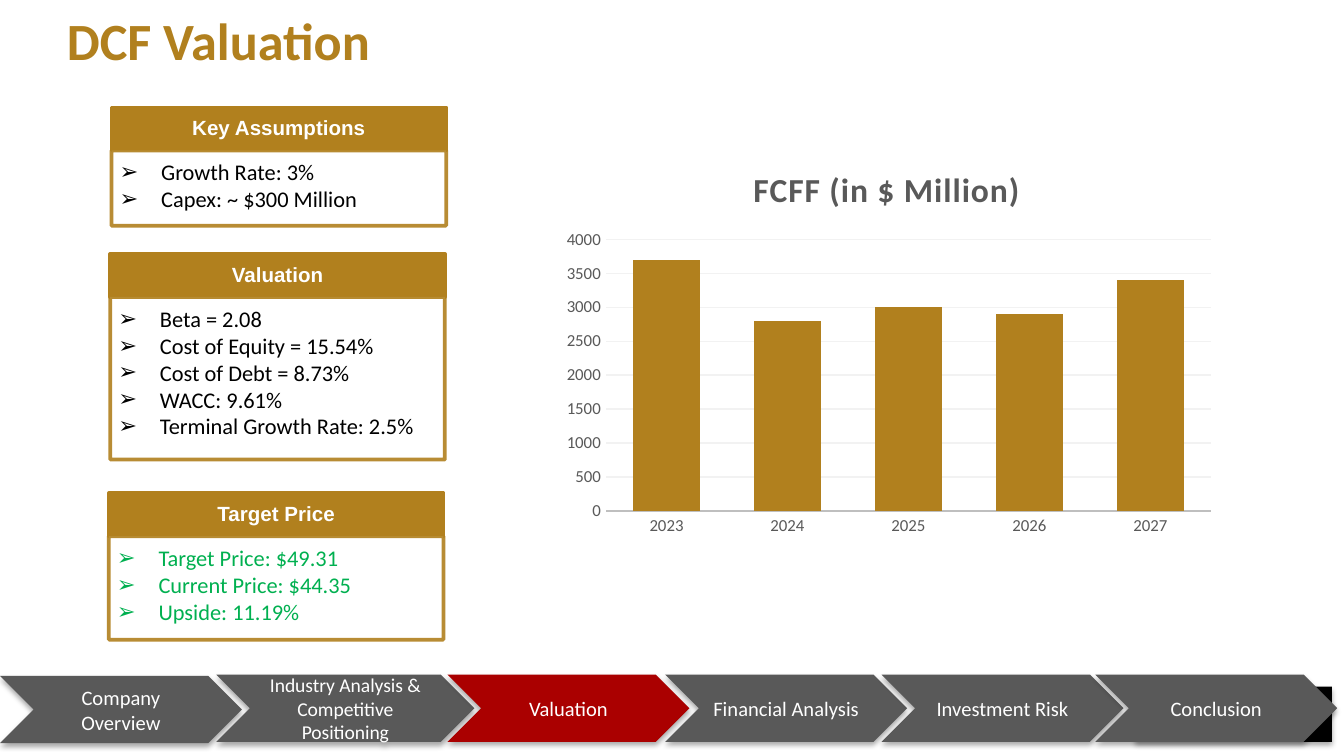
from dataclasses import dataclass

from lxml import etree
from pptx import Presentation
from pptx import util as u
from pptx.chart.data import CategoryChartData
from pptx.dml.color import RGBColor
from pptx.enum import chart as charts
from pptx.enum import shapes, text
from pptx.oxml import ns

GOLD = RGBColor(0xB1, 0x80, 0x1E)
GREY = RGBColor(0x59, 0x59, 0x59)
RED = RGBColor(0xAA, 0x00, 0x00)
GREEN = RGBColor(0x00, 0xB0, 0x50)
BLACK = RGBColor(0, 0, 0)
WHITE = RGBColor(0xFF, 0xFF, 0xFF)
AXIS = RGBColor(0xBF, 0xBF, 0xBF)
GRID = RGBColor(0xF2, 0xF2, 0xF2)

PAGE_WIDTH = 10
PAGE_HEIGHT = PAGE_WIDTH * 9 / 16
CARD_WIDTH = 2.49
HEADER_HEIGHT = 0.32
STEP_HEIGHT = 0.5


@dataclass(frozen=True)
class Step:
    label: str
    left: float
    top: float = 5.02
    width: float = 1.8
    size: float = 11
    color: RGBColor = GREY


@dataclass(frozen=True)
class Card:
    heading: str
    items: tuple[str, ...]
    left: float
    top: float
    body_height: float
    color: RGBColor = BLACK


STEPS = (
    Step("Company Overview", 0, top=5.03),
    Step("Industry Analysis & Competitive Positioning", 1.61, width=1.92, size=10.5),
    Step("Valuation", 3.33, color=RED),
    Step("Financial Analysis", 4.95),
    Step("Investment Risk", 6.56),
    Step("Conclusion", 8.15),
)
CARDS = (
    Card("Key Assumptions", ("Growth Rate: 3%", "Capex: ~ $300 Million"), 0.83, 0.8, 0.56),
    Card(
        "Valuation",
        ("Beta = 2.08", "Cost of Equity = 15.54%", "Cost of Debt = 8.73%",
         "WACC: 9.61%", "Terminal Growth Rate: 2.5%"),
        0.82, 1.89, 1.21,
    ),
    Card(
        "Target Price",
        ("Target Price: $49.31", "Current Price: $44.35", "Upside: 11.19%"),
        0.81, 3.67, 0.77, GREEN,
    ),
)
CASH_FLOWS = {"2023": 3700, "2024": 2800, "2025": 3000, "2026": 2900, "2027": 3400}


def set_font(font, size: float, color: RGBColor, name: str = "Calibri", bold: bool = False) -> None:
    font.size, font.name, font.bold = u.Pt(size), name, bold
    font.color.rgb = color


def set_insets(frame, left: float, top: float, right: float, bottom: float) -> None:
    frame.margin_left, frame.margin_top = u.Inches(left), u.Inches(top)
    frame.margin_right, frame.margin_bottom = u.Inches(right), u.Inches(bottom)


def add_box(page, kind, left: float, top: float, width: float, height: float, fill: RGBColor):
    box = page.shapes.add_shape(
        kind, u.Inches(left), u.Inches(top), u.Inches(width), u.Inches(height))
    box.shadow.inherit = False
    box.fill.solid()
    box.fill.fore_color.rgb = fill
    box.line.fill.background()
    return box


def outline(box) -> None:
    box.line.color.rgb = GOLD
    box.line.width = u.Pt(2)


def add_shadow(box) -> None:
    effects = box._element.spPr.find(ns.qn("a:effectLst"))
    shadow = etree.SubElement(
        effects, ns.qn("a:outerShdw"), blurRad=str(u.Pt(3.1)), dist=str(u.Pt(1.8)),
        dir="5400000", algn="t", rotWithShape="0")
    color = etree.SubElement(shadow, ns.qn("a:srgbClr"), val=str(BLACK))
    etree.SubElement(color, ns.qn("a:alpha"), val="35000")


def add_step(page, step: Step) -> None:
    box = add_box(page, shapes.MSO_SHAPE.CHEVRON, step.left, step.top,
                  step.width, STEP_HEIGHT, step.color)
    add_shadow(box)
    box.text_frame.vertical_anchor = text.MSO_ANCHOR.MIDDLE
    para = box.text_frame.paragraphs[0]
    para.text = step.label
    para.alignment = text.PP_ALIGN.CENTER
    set_font(para.font, step.size, WHITE)


def add_bullet(para) -> None:
    properties = para._p.get_or_add_pPr()
    properties.set("marL", str(u.Inches(0.31)))
    properties.set("indent", str(-u.Inches(0.31)))
    etree.SubElement(properties, ns.qn("a:buFont"), typeface="Arial")
    etree.SubElement(properties, ns.qn("a:buChar"), char="➢")


def add_card(page, card: Card) -> None:
    header = add_box(page, shapes.MSO_SHAPE.RECTANGLE, card.left, card.top,
                     CARD_WIDTH, HEADER_HEIGHT, GOLD)
    outline(header)
    set_insets(header.text_frame, 0.09, 0.05, 0.09, 0.05)
    header.text_frame.vertical_anchor = text.MSO_ANCHOR.MIDDLE
    para = header.text_frame.paragraphs[0]
    para.text = card.heading
    para.alignment = text.PP_ALIGN.CENTER
    para.line_spacing = 0.9
    set_font(para.font, 11, WHITE, "Arial", True)

    body = add_box(page, shapes.MSO_SHAPE.RECTANGLE, card.left, card.top + HEADER_HEIGHT,
                   CARD_WIDTH, card.body_height, WHITE)
    outline(body)
    for color in body._element.spPr.iter(ns.qn("a:srgbClr")):
        etree.SubElement(color, ns.qn("a:alpha"), val="90000")
    frame = body.text_frame
    set_insets(frame, 0.06, 0.06, 0.09, 0.1)
    frame.vertical_anchor = text.MSO_ANCHOR.TOP
    for index, item in enumerate(card.items):
        para = frame.add_paragraph() if index else frame.paragraphs[0]
        para.text = item
        para.alignment = text.PP_ALIGN.LEFT
        add_bullet(para)
        set_font(para.font, 12, card.color)


def place(parent, index: int, **settings: object) -> None:
    for old in parent.findall(ns.qn("c:layout")):
        parent.remove(old)
    layout = etree.Element(ns.qn("c:layout"))
    manual = etree.SubElement(layout, ns.qn("c:manualLayout"))
    for name, value in settings.items():
        etree.SubElement(manual, ns.qn(f"c:{name}"), val=str(value))
    parent.insert(index, layout)


def add_cash_flow_chart(page) -> None:
    data = CategoryChartData()
    data.categories = list(CASH_FLOWS)
    data.add_series("Series 1", list(CASH_FLOWS.values()))
    chart = page.shapes.add_chart(
        charts.XL_CHART_TYPE.COLUMN_CLUSTERED, u.Inches(4.11), u.Inches(1.07),
        u.Inches(5), u.Inches(2.97), data).chart
    set_font(chart.font, 10, BLACK)
    chart.has_legend = False
    chart.has_title = True
    para = chart.chart_title.text_frame.paragraphs[0]
    span = para.add_run()
    span.text = "FCFF (in $ Million)"
    set_font(span.font, 18, GREY, bold=True)
    span.font._element.set("spc", "50")
    place(chart.chart_title._element, 1, xMode="edge", yMode="edge", x=0.29, y=0.04)
    place(chart._chartSpace.chart.plotArea, 0, layoutTarget="inner", xMode="edge",
          yMode="edge", x=0.08, y=0.24, w=0.9, h=0.68)

    plot = chart.plots[0]
    plot.gap_width, plot.overlap, plot.vary_by_categories = 80, 25, False
    fill = plot.series[0].format.fill
    fill.solid()
    fill.fore_color.rgb = GOLD
    for axis in (chart.category_axis, chart.value_axis):
        axis.major_tick_mark = axis.minor_tick_mark = charts.XL_TICK_MARK.NONE
        set_font(axis.tick_labels.font, 9, GREY)
    chart.category_axis.format.line.color.rgb = AXIS
    chart.category_axis.format.line.width = u.Pt(1.25)
    values = chart.value_axis
    values.minimum_scale, values.maximum_scale, values.major_unit = 0, 4000, 500
    values.format.line.fill.background()
    values.major_gridlines.format.line.color.rgb = GRID
    values.major_gridlines.format.line.width = u.Pt(0.75)


def add_title(page) -> None:
    box = page.shapes.add_textbox(u.Inches(0.4), 0, u.Inches(9), u.Inches(0.59))
    box.text_frame.word_wrap = True
    box.text_frame.vertical_anchor = text.MSO_ANCHOR.MIDDLE
    para = box.text_frame.paragraphs[0]
    para.text = "DCF Valuation"
    para.space_after = u.Pt(6)
    set_font(para.font, 28, GOLD, bold=True)


def main() -> None:
    deck = Presentation()
    deck.slide_width, deck.slide_height = u.Inches(PAGE_WIDTH), u.Inches(PAGE_HEIGHT)
    page = deck.slides.add_slide(deck.slide_layouts[6])
    for step in STEPS[:-1]:
        add_step(page, step)
    add_shadow(add_box(page, shapes.MSO_SHAPE.RECTANGLE, 8.45, 5.11, 1.46, 0.41, BLACK))
    add_step(page, STEPS[-1])
    add_title(page)
    add_cash_flow_chart(page)
    for card in CARDS:
        add_card(page, card)
    deck.save("out.pptx")


if __name__ == "__main__":
    main()
